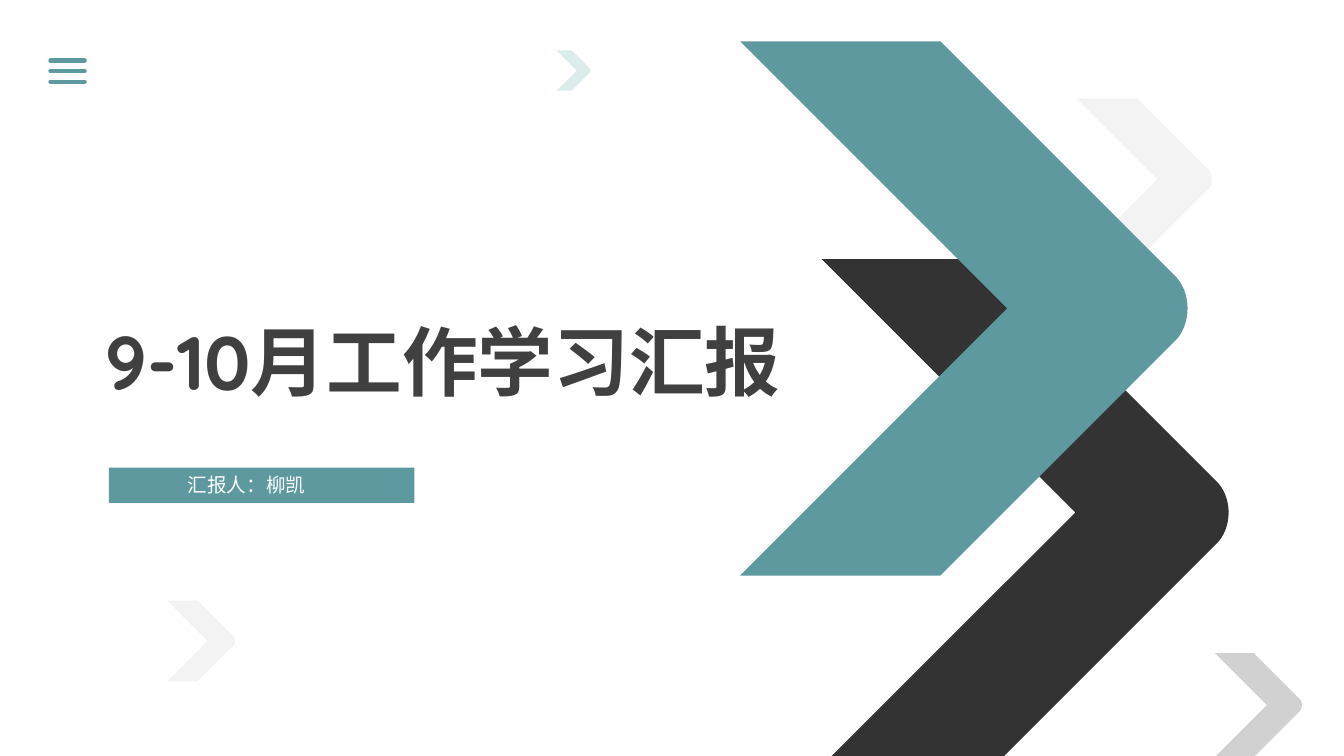
from dataclasses import dataclass

from lxml.etree import SubElement
from pptx import Presentation
from pptx.dml.color import RGBColor
from pptx.enum.shapes import MSO_CONNECTOR, MSO_SHAPE
from pptx.enum.text import MSO_AUTO_SIZE, PP_ALIGN
from pptx.oxml.ns import qn
from pptx.util import Inches, Pt

SLIDE_WIDTH, SLIDE_HEIGHT = 13.33, 7.5


@dataclass(frozen=True)
class Theme:
    font: str = "Quicksand"
    teal: str = "5D999F"
    pale_teal: str = "D9EAEC"
    black: str = "000000"
    heading: str = "404040"
    silver: str = "CCCCCC"
    mist: str = "F2F2F2"
    white: str = "FFFFFF"
    title_size: int = 54
    label_size: int = 14
    stroke: int = 3


class Cover:
    def __init__(self, slide, theme):
        self.slide = slide
        self.theme = theme

    def paint(self, shape, color, opacity=100):
        shape.shadow.inherit = False
        shape.fill.solid()
        shape.fill.fore_color.rgb = RGBColor.from_string(color)
        shape.line.fill.background()
        if opacity < 100:
            srgb = shape.fill._xPr.find(qn("a:solidFill")).find(qn("a:srgbClr"))
            SubElement(srgb, qn("a:alpha"), val=str(opacity * 1000))

    def chevron(self, left, top, height, color, opacity=100, shelf=0.375):
        half = height / 2
        middle = top + half
        shoulder = left + shelf * height
        radius = 0.064 * height
        bend = shoulder + half - radius
        foot = min(top + height, SLIDE_HEIGHT)
        shift = top + height - foot
        tip = []
        for step in range(17):
            t = step / 16
            bulge = 3 * t * (1 - t) * 0.55 * radius
            drop = (1 - t) ** 3 + 1.5 * t * (1 - t) ** 2 - 1.5 * t**2 * (1 - t) - t**3
            tip.append((bend + bulge, middle - radius * drop))
        outline = [(left, top), (shoulder, top), *tip,
                   (shoulder + shift, foot), (left + shift, foot), (left + half, middle)]
        points = [(Inches(x), Inches(y)) for x, y in outline]
        builder = self.slide.shapes.build_freeform(*points[0])
        builder.add_line_segments(points[1:], close=True)
        self.paint(builder.convert_to_shape(), color, opacity)

    def bar(self, shapes, left, top, width, height, color):
        band = shapes.add_shape(MSO_SHAPE.RECTANGLE, Inches(left), Inches(top),
                                Inches(width), Inches(height))
        self.paint(band, color)

    def text(self, shapes, left, top, width, height, words, size, color,
             bold=False, align=PP_ALIGN.LEFT):
        box = shapes.add_textbox(Inches(left), Inches(top), Inches(width), Inches(height))
        frame = box.text_frame
        frame.word_wrap = True
        frame.auto_size = MSO_AUTO_SIZE.SHAPE_TO_FIT_TEXT
        paragraph = frame.paragraphs[0]
        paragraph.alignment = align
        run = paragraph.add_run()
        run.text = words
        run.font.size = Pt(size)
        run.font.bold = bold
        run.font.color.rgb = RGBColor.from_string(color)
        run.font.name = self.theme.font
        properties = run._r.get_or_add_rPr()
        properties.set("lang", "zh-CN")
        SubElement(properties, qn("a:ea"), typeface=self.theme.font)

    def stroke(self, shapes, left, right, y, color):
        rule = shapes.add_connector(MSO_CONNECTOR.STRAIGHT, Inches(left), Inches(y),
                                    Inches(right), Inches(y))
        rule.line.color.rgb = RGBColor.from_string(color)
        rule.line.width = Pt(self.theme.stroke)
        rule.line._get_or_add_ln().set("cap", "rnd")
        SubElement(rule._element.spPr, qn("a:effectLst"))

    def group(self):
        return self.slide.shapes.add_group_shape().shapes


def main():
    deck = Presentation()
    deck.slide_width = Inches(SLIDE_WIDTH)
    deck.slide_height = Inches(SLIDE_HEIGHT)
    theme = Theme()
    cover = Cover(deck.slides.add_slide(deck.slide_layouts[6]), theme)

    cover.chevron(10.68, 0.98, 1.6, theme.mist, 90)
    cover.chevron(8.15, 2.57, 5.03, theme.black, 80, shelf=0.34)
    cover.chevron(7.34, 0.41, 5.3, theme.teal)

    cover.text(cover.slide.shapes, 0.95, 3.07, 7.4, 1.01, "9-10月工作学习汇报",
               theme.title_size, theme.heading, bold=True)
    presenter = cover.group()
    cover.bar(presenter, 1.08, 4.64, 3.03, 0.35, theme.teal)
    cover.text(presenter, 1.15, 4.64, 2.59, 0.34, "汇报人：柳凯",
               theme.label_size, theme.white, align=PP_ALIGN.CENTER)

    cover.chevron(12.05, 6.48, 1.03, theme.silver, 90)
    cover.chevron(1.66, 5.96, 0.8, theme.mist, 90)
    cover.chevron(5.52, 0.5, 0.4, theme.pale_teal, 90)

    menu = cover.group()
    for row in range(3):
        cover.stroke(menu, 0.5, 0.84, 0.6 + row * 0.105, theme.teal)

    deck.save("out.pptx")


if __name__ == "__main__":
    main()
